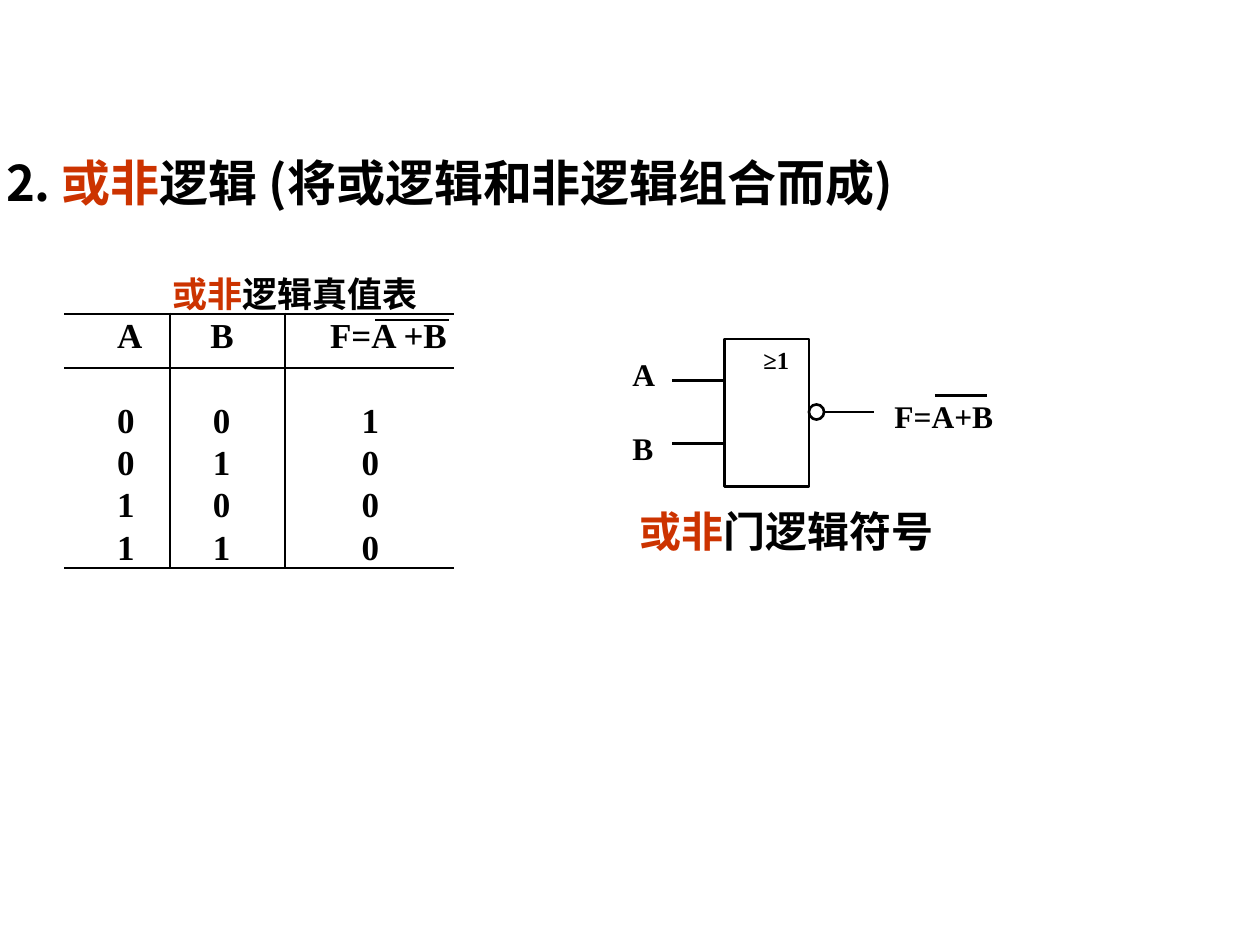
from lxml.etree import SubElement
from pptx import Presentation
from pptx.dml.color import RGBColor
from pptx.enum.shapes import MSO_CONNECTOR, MSO_SHAPE
from pptx.enum.text import MSO_ANCHOR
from pptx.oxml.ns import qn
from pptx.util import Inches, Pt

BLACK = RGBColor(0x00, 0x00, 0x00)
RED = RGBColor(0xCC, 0x33, 0x00)
SERIF = "Times New Roman"
SANS = "Noto Sans CJK SC"
LINE_WIDTH = Pt(1.5)


def write_runs(paragraph, runs, size, font=SERIF):
    """Fill a paragraph with bold (text, colour) runs."""
    for text, color in runs:
        run = paragraph.add_run()
        run.text = text
        run.font.size = Pt(size)
        run.font.bold = True
        run.font.name = font
        run.font.color.rgb = color
        SubElement(run.font._element, qn("a:ea"), typeface=SANS)


def add_text(slide, left, top, width, height, *runs, size=18, font=SERIF):
    box = slide.shapes.add_textbox(Inches(left), Inches(top), Inches(width), Inches(height))
    box.text_frame.word_wrap = False
    # The free right inset keeps every label on one line
    box.text_frame.margin_right = 0
    write_runs(box.text_frame.paragraphs[0], runs, size, font)


def add_line(slide, x1, y1, x2, y2):
    line = slide.shapes.add_connector(
        MSO_CONNECTOR.STRAIGHT, Inches(x1), Inches(y1), Inches(x2), Inches(y2))
    line.line.color.rgb = BLACK
    line.line.width = LINE_WIDTH
    SubElement(line._element.spPr, qn("a:effectLst"))


def add_outline(slide, kind, left, top, width, height):
    shape = slide.shapes.add_shape(
        kind, Inches(left), Inches(top), Inches(width), Inches(height))
    shape.shadow.inherit = False
    shape.fill.background()
    shape.line.color.rgb = BLACK
    shape.line.width = LINE_WIDTH


def set_borders(cell, visible):
    """Draw the named sides of a cell and hide the others."""
    properties = cell._tc.get_or_add_tcPr()
    for side in "LRTB":
        border = SubElement(properties, qn(f"a:ln{side}"), w=str(int(LINE_WIDTH)))
        if side in visible:
            fill = SubElement(border, qn("a:solidFill"))
            SubElement(fill, qn("a:srgbClr"), val=str(BLACK))
        else:
            SubElement(border, qn("a:noFill"))


def add_truth_table(slide, left, top):
    # Caption
    add_text(slide, left + 0.76, top - 0.38, 2.3, 0.5,
             ("或非", RED), ("逻辑真值表", BLACK), size=20)

    # Grid: a header, then one row per input pair
    rows = [("A", "B", "F=A +B")]
    rows += [(str(a), str(b), str(int(not (a or b)))) for a in (0, 1) for b in (0, 1)]
    widths = (0.84, 0.91, 1.34)
    heights = (0.43, 0.58, 0.33, 0.33, 0.34)
    header_indents = (0.42, 0.32, 0.36)
    value_indents = (0.42, 0.34, 0.61)
    table = slide.shapes.add_table(
        len(rows), len(widths), Inches(left), Inches(top),
        Inches(sum(widths)), Inches(sum(heights))).table
    table.first_row = table.horz_banding = False
    for column, width in zip(table.columns, widths):
        column.width = Inches(width)

    for i, (values, height) in enumerate(zip(rows, heights)):
        table.rows[i].height = Inches(height)
        header = i == 0
        indents = header_indents if header else value_indents
        for j, value in enumerate(values):
            cell = table.cell(i, j)
            sides = "TB" if header else "T" if i == 1 else ""
            sides += "B" if i == len(rows) - 1 else ""
            sides += "L" if j > 0 else ""
            sides += "R" if j < len(widths) - 1 else ""
            set_borders(cell, sides)
            cell.fill.background()
            cell.margin_left = Inches(indents[j])
            cell.margin_right = cell.margin_bottom = 0
            cell.margin_top = Inches(0.03) if header else 0
            cell.vertical_anchor = MSO_ANCHOR.TOP if header else MSO_ANCHOR.BOTTOM
            write_runs(cell.text_frame.paragraphs[0], [(value, BLACK)], 20)

    # Negation bar over A + B
    add_line(slide, left + 2.47, top + 0.05, left + 3.05, top + 0.05)


def add_gate_symbol(slide, left, top):
    # Gate body
    add_outline(slide, MSO_SHAPE.RECTANGLE, left, top, 0.67, 1.17)
    add_text(slide, left + 0.21, top, 0.45, 0.34, ("≥1", BLACK), size=14)

    # Inputs
    for name, label_y, wire_y in (("A", 0.08, 0.33), ("B", 0.67, 0.83)):
        add_line(slide, left, top + wire_y, left - 0.42, top + wire_y)
        add_text(slide, left - 0.83, top + label_y, 0.38, 0.4, (name, BLACK))

    # Negated output
    add_outline(slide, MSO_SHAPE.OVAL, left + 0.67, top + 0.52, 0.12, 0.12)
    add_line(slide, left + 0.79, top + 0.58, left + 1.19, top + 0.58)
    add_text(slide, left + 1.25, top + 0.41, 1.05, 0.4, ("F=A+B", BLACK))
    add_line(slide, left + 1.67, top + 0.45, left + 2.08, top + 0.45)

    # Caption
    add_text(slide, left - 0.77, top + 1.27, 2.6, 0.5,
             ("或非", RED), ("门逻辑符号", BLACK), size=24)


def main():
    presentation = Presentation()
    presentation.slide_width = Inches(10)
    presentation.slide_height = Inches(7.5)
    slide = presentation.slides.add_slide(presentation.slide_layouts[6])
    add_text(slide, -0.05, 1.16, 7.61, 0.57, ("2. ", BLACK), ("或非", RED),
             ("逻辑 (将或逻辑和非逻辑组合而成)", BLACK), size=28, font=SANS)
    add_truth_table(slide, 0.51, 2.49)
    add_gate_symbol(slide, 5.75, 2.69)
    presentation.save("out.pptx")


if __name__ == "__main__":
    main()
